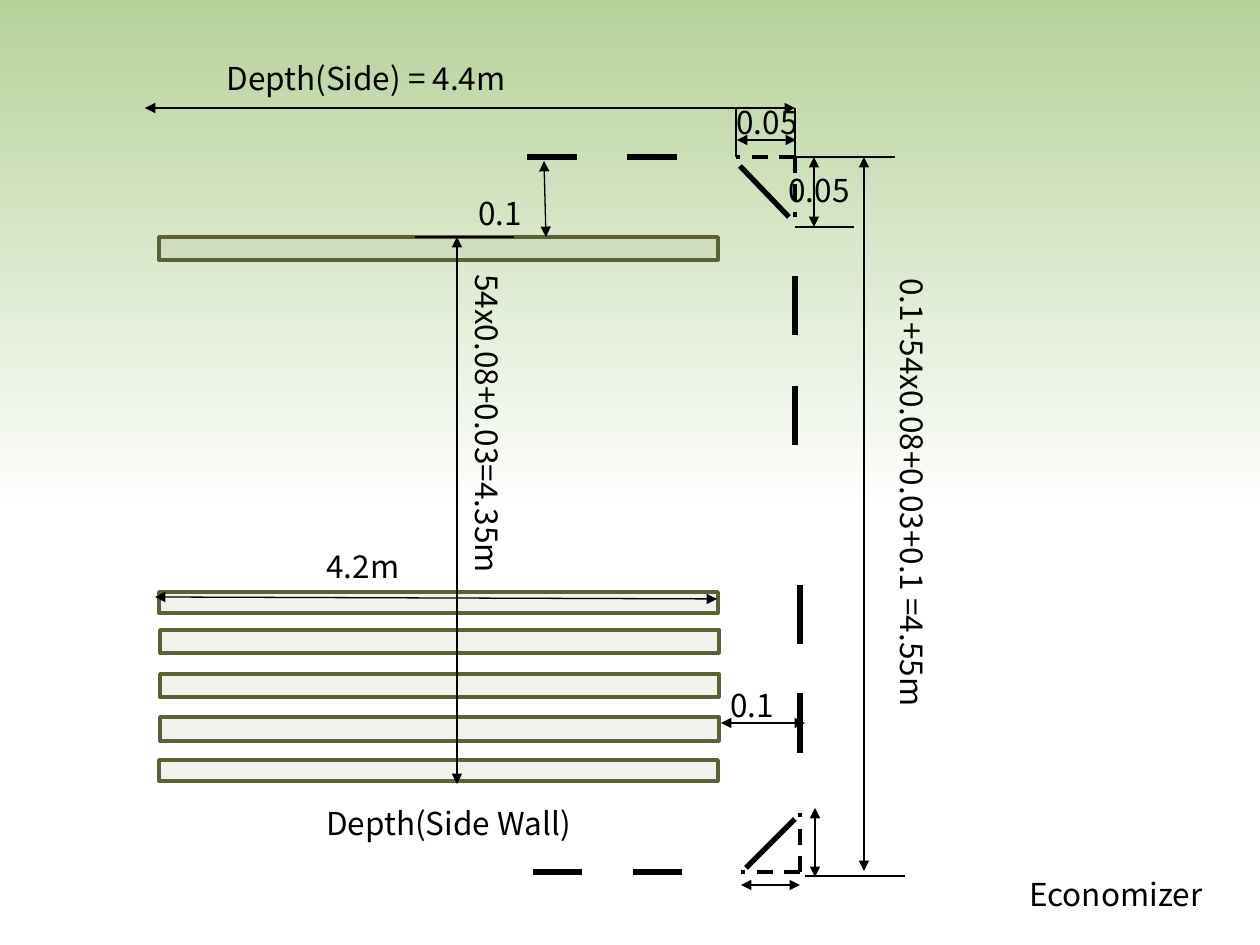
from pptx import Presentation
from pptx.dml.color import RGBColor as RGB
from pptx.enum.dml import MSO_LINE_DASH_STYLE as Dash
from pptx.enum.shapes import MSO_CONNECTOR as Link, MSO_SHAPE as Preset
from pptx.enum.text import MSO_AUTO_SIZE as AutoSize
from pptx.oxml.ns import qn
from pptx.util import Pt
from lxml.etree import SubElement

PX = 914400 // 126
COLORS = {"black": "000000", "sky": "B6D29A", "white": "FFFFFF",
          "tube": "798547", "tube_edge": "5A6235"}


def color(name):
    return RGB.from_string(COLORS[name])


def add_line(x1, y1, x2, y2, width=0.75, dashed=False, arrows=False):
    line = page.shapes.add_connector(
        Link.STRAIGHT, x1 * PX, y1 * PX, x2 * PX, y2 * PX)
    line.line.color.rgb = color("black")
    line.line.width = Pt(width)
    if dashed:
        line.line.dash_style = Dash.DASH
    properties = line.element.spPr
    if arrows:
        outline = properties.find(qn("a:ln"))
        for end in ("a:headEnd", "a:tailEnd"):
            SubElement(outline, qn(end)).set("type", "triangle")
    SubElement(properties, qn("a:effectLst"))


deck = Presentation()
deck.slide_width = 1260 * PX
deck.slide_height = 945 * PX
page = deck.slides.add_slide(deck.slide_layouts[6])

sky = page.shapes.add_shape(Preset.RECTANGLE, 0, 0, 1260 * PX, 514 * PX)
sky.shadow.inherit = False
sky.line.fill.background()
sky.fill.gradient()
sky.fill.gradient_angle = 270
for stop, name, position in zip(sky.fill.gradient_stops, ("sky", "white"), (0, 1)):
    stop.color.rgb = color(name)
    stop.position = position

corner_edges = [(795, 157, 795, 217), (795, 157, 736, 157),
                (800, 872, 800, 813), (800, 872, 741, 872)]
for edge in corner_edges:
    add_line(*edge, width=2.25, dashed=True)

wall_dashes = [(677, 157, 627, 157), (577, 157, 527, 157), (740, 166, 789, 217),
               (795, 276, 795, 335), (795, 386, 795, 445),
               (682, 872, 633, 872), (582, 872, 533, 872), (746, 868, 795, 819),
               (800, 753, 800, 693), (800, 644, 800, 585)]
for dash in wall_dashes:
    add_line(*dash, width=3)

for top, left, height in [(760, 159, 21), (717, 160, 24), (237, 159, 23),
                          (674, 160, 23), (630, 160, 23), (592, 159, 21)]:
    tube = page.shapes.add_shape(
        Preset.RECTANGLE, left * PX, top * PX, 559 * PX, height * PX)
    tube.shadow.inherit = False
    tube.fill.solid()
    tube.fill.fore_color.rgb = color("tube")
    fill_color = tube.element.spPr.find(qn("a:solidFill")).find(qn("a:srgbClr"))
    SubElement(fill_color, qn("a:alpha")).set("val", "10000")
    tube.line.color.rgb = color("tube_edge")
    tube.line.width = Pt(2)

extension_lines = [(736, 108, 736, 157), (795, 108, 795, 157), (795, 227, 854, 227),
                   (795, 157, 895, 157), (805, 876, 905, 876), (514, 237, 415, 237)]
for extension in extension_lines:
    add_line(*extension)

dimensions = [(796, 140, 737, 140), (814, 157, 814, 227), (864, 157, 864, 871),
              (795, 108, 145, 108), (800, 885, 741, 885), (815, 877, 815, 808),
              (544, 161, 546, 237), (457, 784, 457, 237), (717, 599, 155, 597)]
for dimension in dimensions:
    add_line(*dimension, arrows=True)
add_line(721, 723, 805, 723, width=1, arrows=True)

labels = [("Economizer", 1017, 869, 200, 50, 0, False),
          ("0.05", 724, 97, 91, 50, 0, False),
          ("0.05", 776, 165, 91, 50, 0, True),
          ("Depth(Side Wall)", 314, 798, 275, 89, 0, False),
          ("Depth(Side) = 4.4m", 214, 53, 319, 50, 0, False),
          ("0.1+54x0.08+0.03+0.1 =4.55m", 651, 503, 524, 50, 90, True),
          ("54x0.08+0.03=4.35m", 312, 413, 352, 50, 90, True),
          ("0.1", 466, 188, 73, 50, 0, False),
          ("0.1", 718, 680, 73, 50, 0, False),
          ("4.2m", 314, 541, 112, 50, 0, True)]
font_format = {"name": "Noto Sans CJK KR", "size": Pt(18)}
for text, left, top, width, height, rotation, wrap in labels:
    box = page.shapes.add_textbox(left * PX, top * PX, width * PX, height * PX)
    box.rotation = rotation
    box.text_frame.word_wrap = wrap
    box.text_frame.auto_size = AutoSize.SHAPE_TO_FIT_TEXT
    span = box.text_frame.paragraphs[0].add_run()
    span.text = text
    for attribute, value in font_format.items():
        setattr(span.font, attribute, value)
    span.font.color.rgb = color("black")

deck.save("out.pptx")
